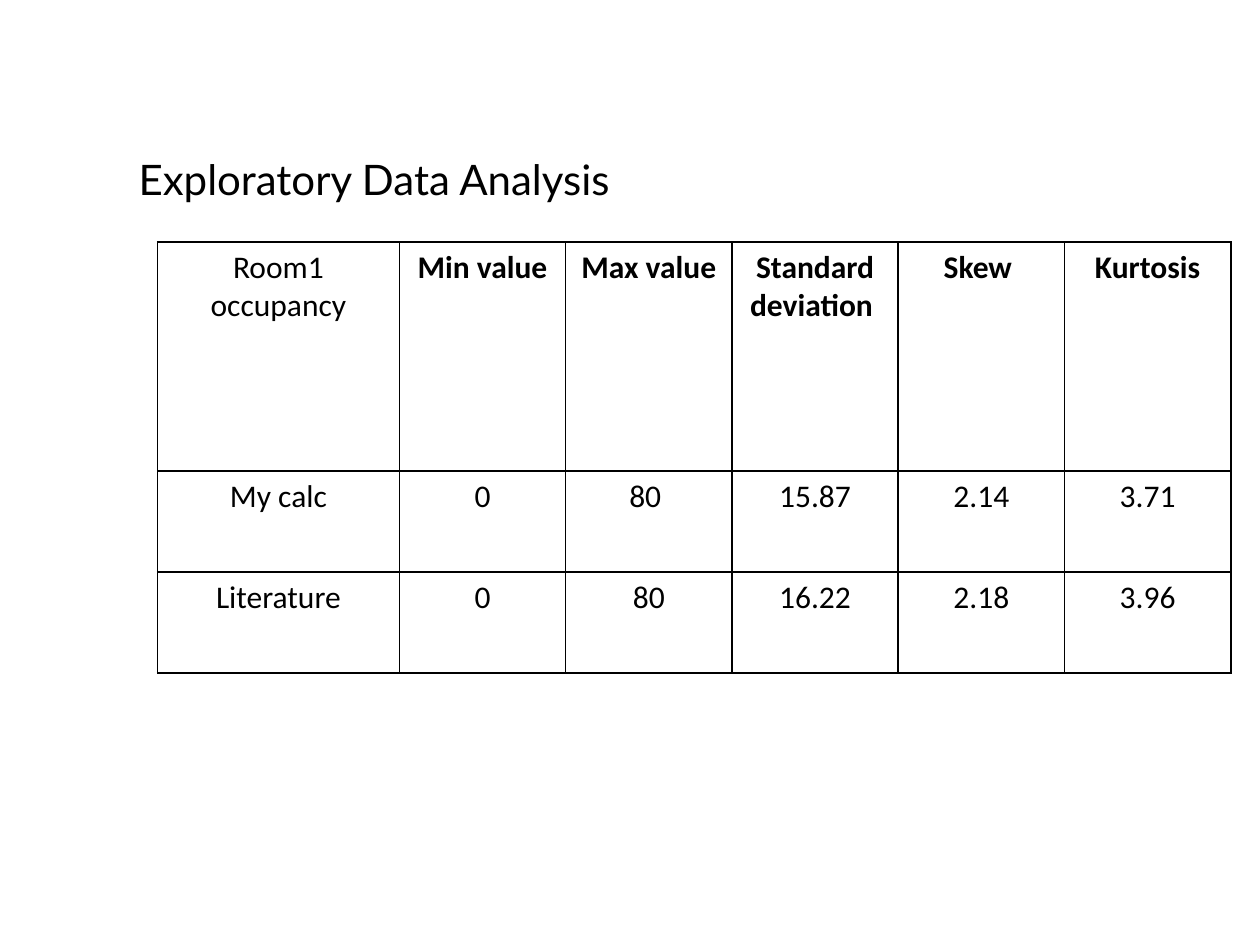
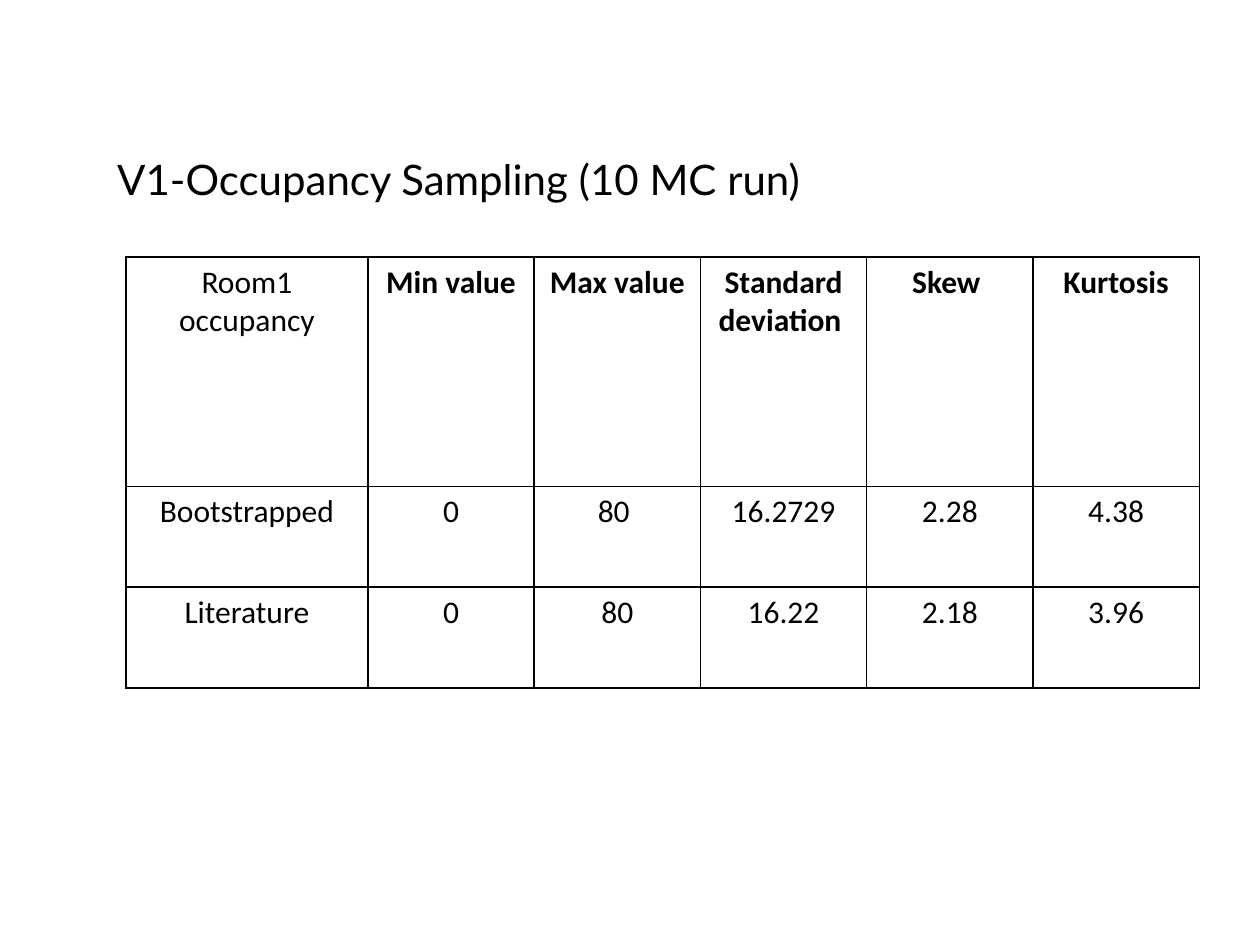
"""Builds two slides comparing room occupancy statistics with the literature."""
from dataclasses import dataclass

from lxml.etree import SubElement
from pptx import Presentation
from pptx.dml.color import RGBColor
from pptx.enum.text import MSO_ANCHOR, MSO_AUTO_SIZE, PP_ALIGN
from pptx.oxml.ns import qn
from pptx.presentation import Presentation as Deck
from pptx.slide import Slide
from pptx.table import _Cell as Cell
from pptx.text.text import _Paragraph as Paragraph
from pptx.util import Inches, Pt

COLOURS = {"ink": "000000", "paper": "FFFFFF"}
TITLE_FONT, TABLE_FONT = "Lato", "Calibri"
TITLE_SIZE, TABLE_SIZE = 24, 18
COLUMN_WIDTHS = [1.92] + [1.32] * 5
ROW_HEIGHTS = [1.82, 0.8, 0.8]
HEADINGS = ("Room1 occupancy", "Min value", "Max value", "Standard deviation ", "Skew ", "Kurtosis")
LITERATURE = ("Literature", "0", "80", "16.22", "2.18", "3.96")


@dataclass(frozen=True)
class Comparison:
    """One slide: a title and a row of statistics set against the literature."""
    title: str
    title_left: float
    table_left: float
    table_top: float
    statistics: tuple[str, ...]


COMPARISONS = (
    Comparison("Exploratory Data Analysis", 1, 1.25, 1.92,
               ("My calc", "0", "80 ", "15.87", "2.14", "3.71")),
    Comparison("V1-Occupancy Sampling (10 MC run)", 0.83, 1, 2.04,
               ("Bootstrapped", "0", "80 ", "16.2729", "2.28", "4.38")),
)


def add_run(paragraph: Paragraph, text: str, font: str, size: float, bold: bool = False) -> None:
    """Add one formatted run to a paragraph."""
    run = paragraph.add_run()
    run.text = text
    run.font.name = font
    run.font.size = Pt(size)
    run.font.bold = bold
    run.font.color.rgb = RGBColor.from_string(COLOURS["ink"])


def add_borders(cell: Cell) -> None:
    """Draw a thin line on all four sides of a cell."""
    properties = cell._tc.get_or_add_tcPr()
    for position, side in enumerate(("a:lnL", "a:lnR", "a:lnT", "a:lnB")):
        line = properties.makeelement(qn(side), {"w": str(Pt(1))})
        fill = SubElement(line, qn("a:solidFill"))
        SubElement(fill, qn("a:srgbClr"), val=COLOURS["ink"])
        properties.insert(position, line)


def place_title(slide: Slide, text: str, left: float) -> None:
    """Move the title placeholder into place and fill it."""
    title = slide.shapes.title
    title.left, title.top = Inches(left), Inches(1.17)
    title.width, title.height = Inches(6.17), Inches(0.5)
    frame = title.text_frame
    frame.word_wrap = True
    frame.auto_size = MSO_AUTO_SIZE.SHAPE_TO_FIT_TEXT
    frame.vertical_anchor = MSO_ANCHOR.TOP
    paragraph = frame.paragraphs[0]
    paragraph.alignment = PP_ALIGN.LEFT
    add_run(paragraph, text, TITLE_FONT, TITLE_SIZE)


def add_statistics(slide: Slide, comparison: Comparison) -> None:
    """Add the bordered statistics table."""
    rows = (HEADINGS, comparison.statistics, LITERATURE)
    table = slide.shapes.add_table(
        len(rows), len(HEADINGS), Inches(comparison.table_left), Inches(comparison.table_top),
        Inches(sum(COLUMN_WIDTHS)), Inches(sum(ROW_HEIGHTS))).table
    table.first_row = table.horz_banding = False
    for column, width in zip(table.columns, COLUMN_WIDTHS):
        column.width = Inches(width)
    for row, height in zip(table.rows, ROW_HEIGHTS):
        row.height = Inches(height)
    for row_number, values in enumerate(rows):
        for column_number, value in enumerate(values):
            cell = table.cell(row_number, column_number)
            cell.fill.solid()
            cell.fill.fore_color.rgb = RGBColor.from_string(COLOURS["paper"])
            add_borders(cell)
            paragraph = cell.text_frame.paragraphs[0]
            paragraph.alignment = PP_ALIGN.CENTER
            is_heading = row_number == 0 and column_number > 0
            add_run(paragraph, value, TABLE_FONT, TABLE_SIZE, is_heading)


def add_comparison(deck: Deck, comparison: Comparison) -> None:
    """Add one comparison slide to the deck."""
    slide = deck.slides.add_slide(deck.slide_layouts.get_by_name("Title Only"))
    place_title(slide, comparison.title, comparison.title_left)
    add_statistics(slide, comparison)


def main() -> None:
    """Build and save the deck."""
    deck = Presentation()
    deck.slide_width, deck.slide_height = Inches(10), Inches(7.5)
    for comparison in COMPARISONS:
        add_comparison(deck, comparison)
    deck.save("out.pptx")


if __name__ == "__main__":
    main()
